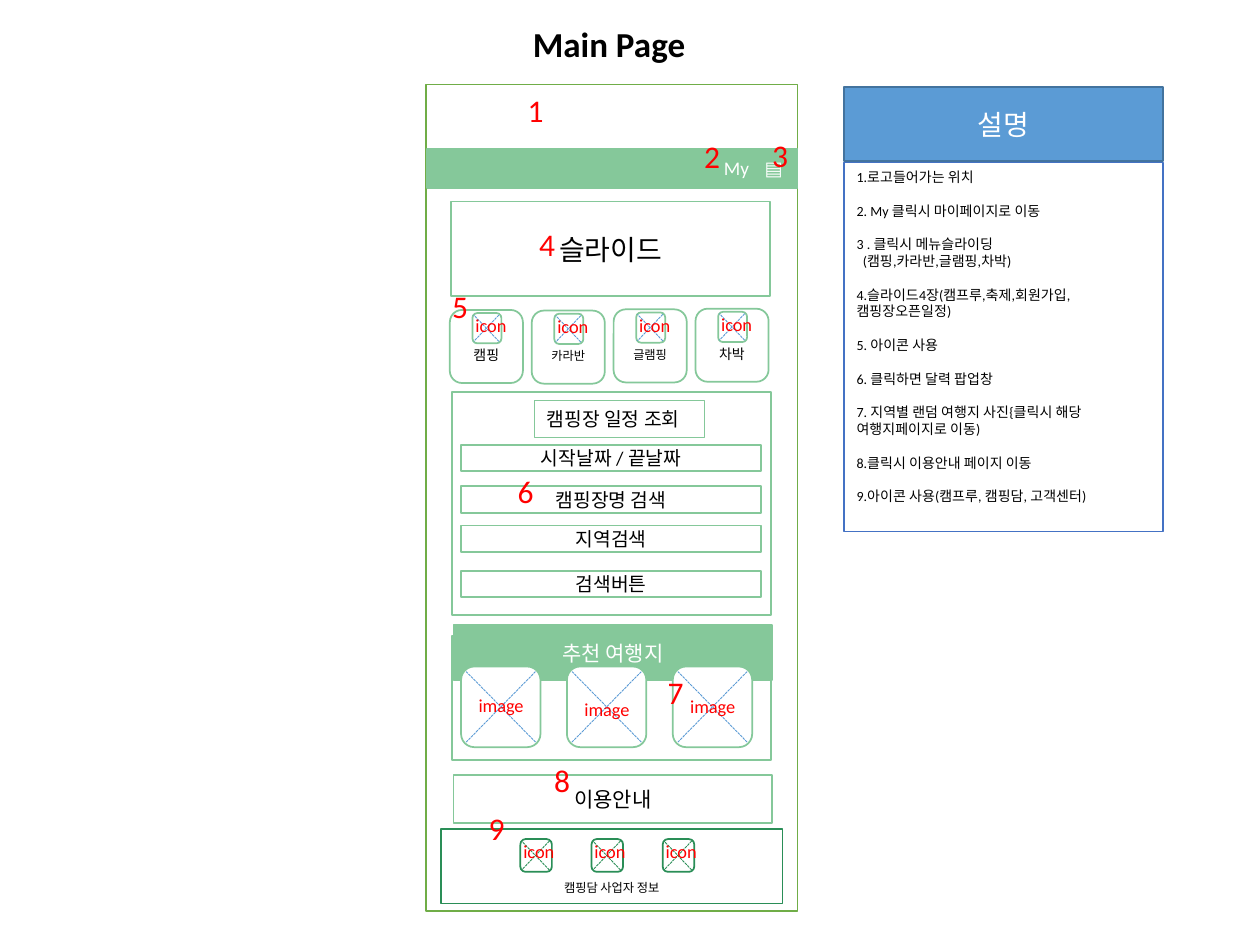
from dataclasses import dataclass

import pptx
import pptx.dml.color
import pptx.enum.dml
import pptx.enum.shapes
import pptx.enum.text
import pptx.oxml.ns
import pptx.util
from lxml import etree

COLUMNS, ROWS = 100, 75  # the slide is a grid of 0.1 inch cells
CELL = pptx.util.Inches(0.1)
FONT = "Calibri"
COLORS = {
    "white": "FFFFFF", "black": "000000", "red": "FF0000", "mint": "85C89A",
    "frame": "70AD47", "forest": "2A8E57", "blue": "5B9BD5",
    "navy": "43739E", "panel": "4472C4",
}
SHAPES = pptx.enum.shapes.MSO_SHAPE
ALIGN = pptx.enum.text.PP_ALIGN
ANCHOR = pptx.enum.text.MSO_ANCHOR


@dataclass
class Box:
    """A rectangle in grid cells, with an optional one-line text."""
    left: float
    top: float
    width: float
    height: float
    text: str = ""
    size: float = 11
    fill: str | None = None
    line: str = "mint"
    line_width: float = 1
    text_color: str = "black"
    rounded: bool = False
    align: ALIGN = ALIGN.CENTER
    anchor: ANCHOR = ANCHOR.MIDDLE
    inset_top: float = 0.5
    wrap: bool = True


@dataclass
class Label:
    """Free text whose top left corner is given in grid cells."""
    text: str
    left: float
    top: float
    width: float = 3.3
    height: float = 4
    size: float = 18
    color: str = "red"
    bold: bool = False
    wrap: bool = True


def cells(count: float) -> int:
    return round(count * CELL)


def rgb(name: str) -> pptx.dml.color.RGBColor:
    return pptx.dml.color.RGBColor.from_string(COLORS[name])


def style_font(paragraph, size: float, color: str, bold: bool = False) -> None:
    paragraph.font.name = FONT
    paragraph.font.size = pptx.util.Pt(size)
    paragraph.font.color.rgb = rgb(color)
    paragraph.font.bold = bold


def draw_box(slide, box: Box):
    kind = SHAPES.ROUNDED_RECTANGLE if box.rounded else SHAPES.RECTANGLE
    shape = slide.shapes.add_shape(
        kind, *map(cells, (box.left, box.top, box.width, box.height)))
    shape.shadow.inherit = False
    if box.fill:
        shape.fill.solid()
        shape.fill.fore_color.rgb = rgb(box.fill)
    else:
        shape.fill.background()
    shape.line.color.rgb = rgb(box.line)
    shape.line.width = pptx.util.Pt(box.line_width)
    frame = shape.text_frame
    frame.word_wrap = box.wrap
    frame.vertical_anchor = box.anchor
    frame.margin_top = cells(box.inset_top)
    if box.text:
        paragraph = frame.paragraphs[0]
        paragraph.text = box.text
        paragraph.alignment = box.align
        style_font(paragraph, box.size, box.text_color)
    return shape


def draw_label(slide, label: Label) -> None:
    shape = slide.shapes.add_textbox(
        *map(cells, (label.left, label.top, label.width, label.height)))
    shape.text_frame.word_wrap = label.wrap
    paragraph = shape.text_frame.paragraphs[0]
    paragraph.text = label.text
    style_font(paragraph, label.size, label.color, label.bold)


def draw_cross(slide, left: float, top: float, width: float, height: float, color: str) -> None:
    right, bottom = left + width, top + height
    for start, end in ((bottom, top), (top, bottom)):
        connector = slide.shapes.add_connector(
            pptx.enum.shapes.MSO_CONNECTOR.STRAIGHT,
            *map(cells, (right, start, left, end)))
        connector.line.color.rgb = rgb(color)
        connector.line.width = pptx.util.Pt(0.5)
        connector.line.dash_style = pptx.enum.dml.MSO_LINE.SQUARE_DOT
        etree.SubElement(connector._element.spPr, pptx.oxml.ns.qn("a:effectLst"))


def draw_icon(slide, left: float, top: float, side: float, line: str, cross: str) -> None:
    draw_box(slide, Box(left, top, side, side + 0.1, fill="white", line=line, rounded=True))
    draw_cross(slide, left + 0.1, top + 0.15, side - 0.3, side - 0.2, cross)
    draw_label(slide, Label("icon", left - 0.75, top - 0.4, 4.7, 2.8, 10.5))


def draw_description(slide) -> None:
    draw_box(slide, Box(67, 6.9, 25.3, 5.9, "설명", 16, "blue", "navy", text_color="white"))
    panel = draw_box(slide, Box(67, 12.9, 25.3, 29.3, fill="white", line="panel", anchor=ANCHOR.TOP))
    for index, text in enumerate(DESCRIPTION):
        frame = panel.text_frame
        paragraph = frame.add_paragraph() if index else frame.paragraphs[0]
        paragraph.text = text
        paragraph.alignment = ALIGN.LEFT
        style_font(paragraph, 8, "black")
        if text.startswith("("):  # continues the item above
            paragraph._p.get_or_add_pPr().set("marL", str(cells(0.5)))
        elif index:
            paragraph.space_before = pptx.util.Pt(9.6)


DESCRIPTION = [
    "1.로고들어가는 위치",
    "2. My 클릭시 마이페이지로 이동",
    "3 . 클릭시 메뉴슬라이딩",
    "(캠핑,카라반,글램핑,차박)",
    "4.슬라이드4장(캠프루,축제,회원가입,캠핑장오픈일정)",
    "5. 아이콘 사용",
    "6. 클릭하면 달력 팝업창",
    "7. 지역별 랜덤 여행지 사진{클릭시 해당 여행지페이지로 이동)",
    "8.클릭시 이용안내 페이지 이동",
    "9.아이콘 사용(캠프루, 캠핑담, 고객센터)",
]
PAGE = [
    Box(33.8, 6.7, 29.5, 65.6, fill="white", line="frame"),
    Box(33.9, 11.8, 29.4, 3.1, fill="mint"),
    Box(56.1, 12, 4.7, 2.6, "My", text_color="white"),
    Box(59.7, 12, 3.2, 2.6, "▤", text_color="white"),
    Box(35.8, 16, 25.3, 7.5, "슬라이드", 16),
    Box(35.9, 31.1, 25.3, 17.7, fill="white"),
    Box(42.4, 31.8, 13.5, 2.9, "캠핑장 일정 조회", line_width=0.75,
        align=ALIGN.LEFT, anchor=ANCHOR.TOP, wrap=False),
    Box(35.9, 50.5, 25.3, 9.8, fill="white"),
    Box(36, 49.6, 25.3, 4.4, "추천 여행지", 12, "mint", text_color="white"),
    Box(36, 61.5, 25.3, 3.8, "이용안내", 12),
    Box(35, 65.8, 27.1, 5.9, "캠핑담 사업자 정보", 7, "white", "forest",
        anchor=ANCHOR.TOP, inset_top=4.05),
]
SEARCH_FIELDS = [("시작날짜 / 끝날짜", 35.3), ("캠핑장명 검색", 38.6),
                 ("지역검색", 41.7), ("검색버튼", 45.3)]
CATEGORIES = [("캠핑", 8, 24.6), ("카라반", 7, 24.65),
              ("글램핑", 7, 24.55), ("차박", 8, 24.5)]
PHOTO_LABEL_TOPS = [54.6, 54.9, 54.7]
MARKERS = [(40.9, 6.7), (54.9, 10.4), (60.3, 10.3), (41.8, 17.4), (34.9, 22.3),
           (40.1, 37), (52, 52.9), (43, 59.9), (37.8, 63.7)]


def main() -> None:
    presentation = pptx.Presentation()
    presentation.slide_width = COLUMNS * CELL
    presentation.slide_height = ROWS * CELL
    slide = presentation.slides.add_slide(presentation.slide_layouts[6])

    # Title and page frame
    draw_label(slide, Label("Main Page", 41.3, 1.3, 14.2, 4.4, 20, "black", True, False))
    for box in PAGE:
        draw_box(slide, box)

    # Search form
    for text, top in SEARCH_FIELDS:
        draw_box(slide, Box(36.6, top, 23.8, 2.1, text))

    # Category cards
    for index, (text, size, top) in enumerate(CATEGORIES):
        left = 35.7 + 6.5 * index
        draw_box(slide, Box(left, top, 5.8, 5.8, text, size, "white", rounded=True, inset_top=1.83))
        draw_icon(slide, left + 1.8, top + 0.25, 2.3, "mint", "blue")

    # Recommended places
    for index, label_top in enumerate(PHOTO_LABEL_TOPS):
        left = 36.6 + 8.4 * index
        draw_box(slide, Box(left, 52.9, 6.3, 6.4, fill="white", rounded=True))
        draw_cross(slide, left + 0.4, 53.3, 5.5, 5.6, "blue")
        draw_label(slide, Label("image", left + 0.4, label_top, 8.3, 2.8, 10.5))

    # Footer icons
    for index in range(3):
        draw_icon(slide, 41.3 + 5.65 * index, 66.6, 2.5, "forest", "forest")

    # Numbered markers and their description
    for number, (left, top) in enumerate(MARKERS, start=1):
        draw_label(slide, Label(str(number), left, top))
    draw_description(slide)

    presentation.save("out.pptx")


if __name__ == "__main__":
    main()
